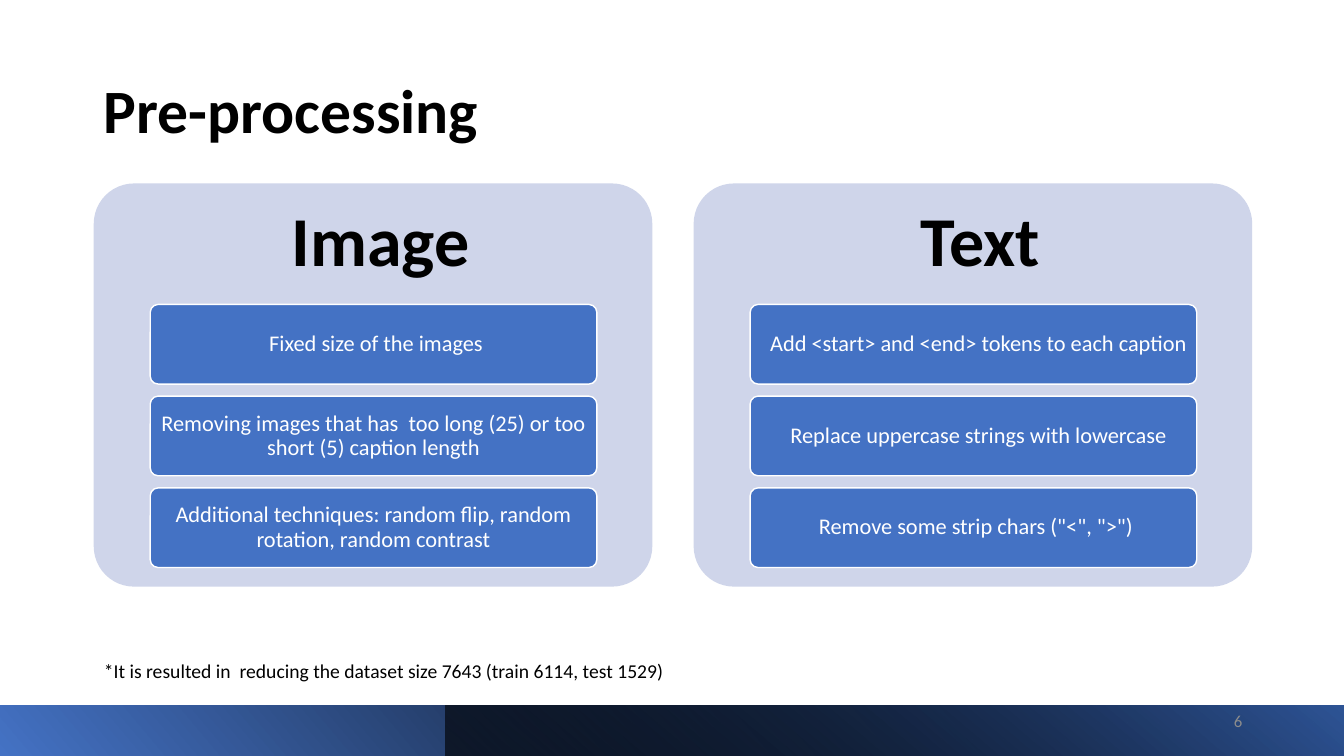
from lxml.etree import SubElement
from pptx import Presentation
from pptx.dml.color import RGBColor
from pptx.enum.shapes import MSO_SHAPE as Shape
from pptx.enum.text import MSO_ANCHOR as Anchor, MSO_AUTO_SIZE as AutoSize, PP_ALIGN as Align
from pptx.oxml.ns import qn
from pptx.util import Inches, Pt

BLACK, WHITE, BLUE = "000000", "FFFFFF", "4472C4"
PANEL_TINT, DEEP_BLUE, GREY = "CFD5EA", "2F5597", "8C8C8C"

COLUMNS = [
    # heading, heading indent, (card text, left indent that nudges the centred line)
    ("Image", 0.15, [
        ("Fixed size of the images", 0.05),
        ("Removing images that has\u00a0 too long (25) or too short (5) caption length", 0),
        ("Additional techniques: random flip, random rotation, random contrast", 0),
    ]),
    ("Text", 0.15, [
        ("Add <start> and <end> tokens to each caption", 0.1),
        ("Replace uppercase strings with lowercase", 0.1),
        ('Remove some strip chars ("<", ">")', 0.05),
    ]),
]
PANEL_LEFT, PANEL_TOP, PANEL_WIDTH, PANEL_HEIGHT = 0.93, 1.82, 5.54, 4
PANEL_STEP, HEADING_HEIGHT = 5.95, 1.2
CARD_INDENT, CARD_WIDTH, CARD_HEIGHT, CARD_STEP = 0.56, 4.43, 0.79, 0.91


def rgb(color):
    return RGBColor.from_string(color)


def place(shape, left, top, width, height):
    for name, value in dict(left=left, top=top, width=width, height=height).items():
        setattr(shape, name, Inches(value))


def write(shape, text, size, color=BLACK, bold=False, align=Align.LEFT,
          anchor=Anchor.MIDDLE, insets=(0.1, 0.05, 0.1, 0.05), spacing=0.9):
    """Fill a shape, text box or placeholder with one formatted paragraph."""
    frame = shape.text_frame
    margins = zip(("left", "top", "right", "bottom"), insets)
    settings = {f"margin_{side}": Inches(inset) for side, inset in margins}
    settings.update(word_wrap=True, auto_size=AutoSize.NONE, vertical_anchor=anchor)
    for name, value in settings.items():
        setattr(frame, name, value)
    para = frame.paragraphs[0]
    properties = para._p.get_or_add_pPr()
    properties.set("marL", "0")
    properties.set("indent", "0")
    SubElement(properties, qn("a:buNone"))
    for name, value in dict(alignment=align, line_spacing=spacing, space_before=Pt(0)).items():
        setattr(para, name, value)
    span = para.add_run()
    span.text = text
    for name, value in dict(name="Calibri", size=Pt(size), bold=bold).items():
        setattr(span.font, name, value)
    span.font.color.rgb = rgb(color)


def add_block(page, kind, left, top, width, height):
    block = page.shapes.add_shape(kind, *map(Inches, (left, top, width, height)))
    block.shadow.inherit = False
    block.line.fill.background()
    return block


def add_rounded(page, left, top, width, height, fill):
    block = add_block(page, Shape.ROUNDED_RECTANGLE, left, top, width, height)
    block.adjustments[0] = 0.1
    block.fill.solid()
    block.fill.fore_color.rgb = rgb(fill)
    return block


def add_gradient_band(page, left, width, stops, angle, rotation=0):
    """Add a mirrored footer band; each stop is position, colour, opacity in percent."""
    band = add_block(page, Shape.RECTANGLE, left, 7, width, 0.5)
    band.rotation = rotation
    band._element.spPr.find(qn("a:xfrm")).set("flipH", "1")
    band.fill.gradient()
    band.fill.gradient_angle = 360 - angle
    for stop, (position, color, opacity) in zip(band.fill.gradient_stops, stops):
        stop.position = position
        stop.color.rgb = rgb(color)
        if opacity < 100:
            for tint in stop._gs.iter(qn("a:srgbClr")):
                SubElement(tint, qn("a:alpha")).set("val", str(opacity * 1000))


def add_label(page, left, top, width, height, text, size, **formats):
    box = page.shapes.add_textbox(*map(Inches, (left, top, width, height)))
    write(box, text, size, **formats)


def add_column(page, left, heading, heading_indent, cards):
    add_rounded(page, left, PANEL_TOP, PANEL_WIDTH, PANEL_HEIGHT, PANEL_TINT)
    add_label(page, left, PANEL_TOP, PANEL_WIDTH, HEADING_HEIGHT, heading, 50, bold=True,
              align=Align.CENTER, insets=(0.21 + heading_indent, 0.21, 0.21, 0.21))
    for row, (text, indent) in enumerate(cards):
        top = PANEL_TOP + HEADING_HEIGHT + row * CARD_STEP
        card = add_rounded(page, left + CARD_INDENT, top, CARD_WIDTH, CARD_HEIGHT, BLUE)
        card.line.color.rgb = rgb(WHITE)
        card.line.width = Pt(1)
        write(card, text, 16, WHITE, align=Align.CENTER,
              insets=(0.06 + indent, 0.05, 0.06, 0.05))


def main():
    deck = Presentation()
    deck.slide_width, deck.slide_height = Inches(13.33), Inches(7.5)
    page = deck.slides.add_slide(deck.slide_layouts[1])

    title, footnote = page.shapes.title, page.placeholders[1]
    place(title, 0.93, 0.19, 10.6, 1.32)
    write(title, "Pre-processing", 44, bold=True, anchor=Anchor.BOTTOM)
    place(footnote, 0.93, 6.48, 10.6, 0.37)
    write(footnote,
          "*It is resulted in\u00a0 reducing the dataset size 7643 (train 6114, test 1529)", 14)

    add_gradient_band(page, 0, 13.33, [(0, BLUE, 100), (0.78, BLACK, 100)], 40, rotation=180)
    add_gradient_band(page, 4.42, 8.91, [(0, BLACK, 63), (1, DEEP_BLUE, 100)], 230)
    add_label(page, 9.42, 6.95, 3, 0.4, "6", 12, color=GREY, align=Align.RIGHT, spacing=1.0)

    for index, column in enumerate(COLUMNS):
        add_column(page, PANEL_LEFT + index * PANEL_STEP, *column)
    deck.save("out.pptx")


if __name__ == "__main__":
    main()
